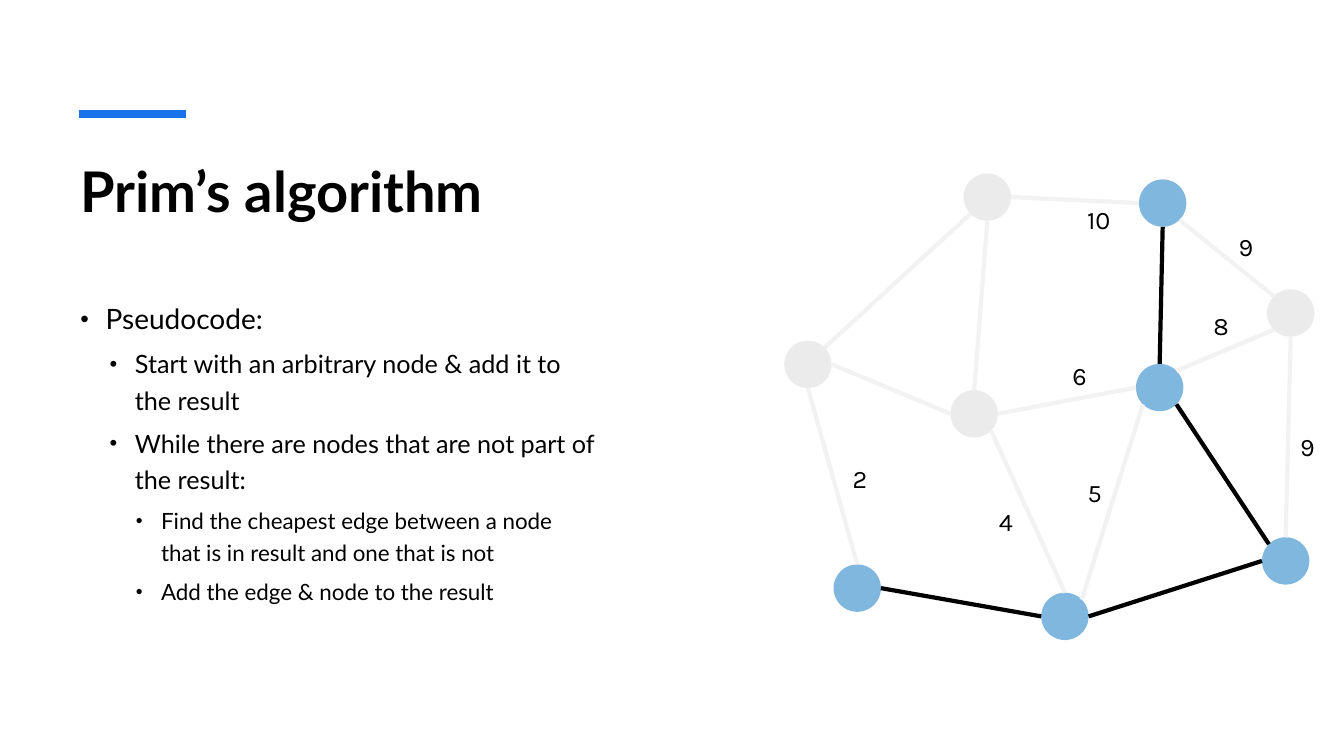
from math import sqrt
from lxml import etree
from pptx import Presentation
from pptx.dml.color import RGBColor
from pptx.enum.shapes import MSO_CONNECTOR, MSO_SHAPE
from pptx.enum.text import PP_ALIGN
from pptx.oxml.ns import qn
from pptx.util import Inches, Pt

STRAIGHT, OVAL = MSO_CONNECTOR.STRAIGHT, MSO_SHAPE.OVAL
CENTER = PP_ALIGN.CENTER

# Content
TITLE = "Prim’s algorithm"
BULLETS = [
    (0, "Pseudocode:"),
    (1, "Start with an arbitrary node & add it to the result"),
    (1, "While there are nodes that are not part of the result:"),
    (2, "Find the cheapest edge between a node that is in result and one that is not"),
    (2, "Add the edge & node to the result"),
]
LEVELS = [(20, 0.25, 10), (18, 0.54, 5), (16, 0.8, 5)]  # size, indent, space before

BLACK, BLUE, GREY, FAINT, ACCENT = "000000", "0070C0", "D9D9D9", "F2F2F2", "1973EB"
NODE_SIZE = 0.47
NODES = {  # name: left, top, colour
    "A": (9.56, 1.72, GREY),
    "B": (11.3, 1.78, BLUE),
    "C": (12.57, 2.87, GREY),
    "D": (7.78, 3.38, GREY),
    "E": (9.43, 3.87, GREY),
    "F": (11.27, 3.61, BLUE),
    "G": (8.27, 5.6, BLUE),
    "H": (10.33, 5.88, BLUE),
    "I": (12.52, 5.33, BLUE),
}
EDGES = [  # node, side, node, side, colour
    ("D", "E", "E", "W", FAINT),
    ("E", "E", "F", "W", FAINT),
    ("F", "NE", "C", "SW", FAINT),
    ("D", "NE", "A", "SW", FAINT),
    ("A", "E", "B", "W", FAINT),
    ("B", "SE", "C", "NW", FAINT),
    ("D", "S", "G", "N", FAINT),
    ("E", "SE", "H", "N", FAINT),
    ("I", "N", "C", "S", FAINT),
    ("E", "N", "A", "S", FAINT),
    ("H", "NE", "F", "SW", FAINT),
    ("F", "N", "B", "S", BLACK),
    ("G", "E", "H", "W", BLACK),
    ("H", "E", "I", "W", BLACK),
    ("I", "NW", "F", "SE", BLACK),
]
WEIGHTS = [  # text, centre x, centre y
    ("10", 10.9, 2.18), ("9", 12.36, 2.45),
    ("4", 9.98, 5.17), ("2", 8.53, 4.75),
    ("8", 12.11, 3.23), ("9", 12.97, 4.43),
    ("6", 10.71, 3.73), ("5", 10.86, 4.89),
]

prs = Presentation()
prs.slide_width, prs.slide_height = Inches(40 / 3), Inches(7.5)
s = prs.slides.add_slide(prs.slide_layouts[6])


def rgb(value):
    return RGBColor.from_string(value)


def add_line(start, end, color, width):
    line = s.shapes.add_connector(STRAIGHT, *map(Inches, (*start, *end)))
    line.line.color.rgb = rgb(color)
    line.line.width = Pt(width)
    etree.SubElement(line._element.spPr, qn("a:effectLst"))


def add_text(left, top, width, height, wrap=True):
    tf = s.shapes.add_textbox(*map(Inches, (left, top, width, height))).text_frame
    tf.word_wrap = wrap
    return tf


def style(p, size, font, bold=False):
    f = p.runs[0].font
    f.size, f.name, f.bold = Pt(size), font, bold
    f.color.rgb = rgb(BLACK)


def add_bullet(p, level, indent):
    pPr = p._p.get_or_add_pPr()
    pPr.set("lvl", str(level))
    pPr.set("marL", str(Inches(indent)))
    pPr.set("indent", str(Inches(-0.25)))
    etree.SubElement(pPr, qn("a:buSzPct"), val="87000")
    etree.SubElement(pPr, qn("a:buFont"), typeface="Arial")
    etree.SubElement(pPr, qn("a:buChar"), char="•")


def rim_point(node, side):
    """Point on the node's rim in a compass direction."""
    left, top, _ = NODES[node]
    r = NODE_SIZE / 2
    step = r / sqrt(len(side))
    dx = ("E" in side) - ("W" in side)
    dy = ("S" in side) - ("N" in side)
    return left + r + dx * step, top + r + dy * step


# Title with accent bar
add_line((0.78, 1.13), (1.85, 1.13), ACCENT, 6)
p = add_text(0.7, 1.5, 11.91, 1.2).paragraphs[0]
p.text = TITLE
style(p, 40, "Lato", bold=True)

# Pseudocode
tf = add_text(0.7, 2.88, 5.31, 3.78)
for i, (level, text) in enumerate(BULLETS):
    size, indent, before = LEVELS[level]
    p = tf.add_paragraph() if i else tf.paragraphs[0]
    p.text = text
    p.line_spacing, p.space_before = 1.2, Pt(before)
    add_bullet(p, level, indent)
    style(p, size, "Lato")

# Graph nodes, half transparent
for left, top, color in NODES.values():
    sp = s.shapes.add_shape(OVAL, *map(Inches, (left, top, NODE_SIZE, NODE_SIZE)))
    sp.shadow.inherit = False
    sp.line.fill.background()
    sp.fill.solid()
    sp.fill.fore_color.rgb = rgb(color)
    clr = sp._element.spPr.find(qn("a:solidFill")).find(qn("a:srgbClr"))
    etree.SubElement(clr, qn("a:alpha"), val="50000")

# Graph edges
for a, a_side, b, b_side, color in EDGES:
    add_line(rim_point(a, a_side), rim_point(b, b_side), color, 3)

# Edge weights
for text, x, y in WEIGHTS:
    width = 0.21 + 0.13 * len(text)
    p = add_text(x - width / 2, y - 0.2, width, 0.4, wrap=False).paragraphs[0]
    p.text = text
    p.alignment = CENTER
    style(p, 18, "Karla")

prs.save("out.pptx")
